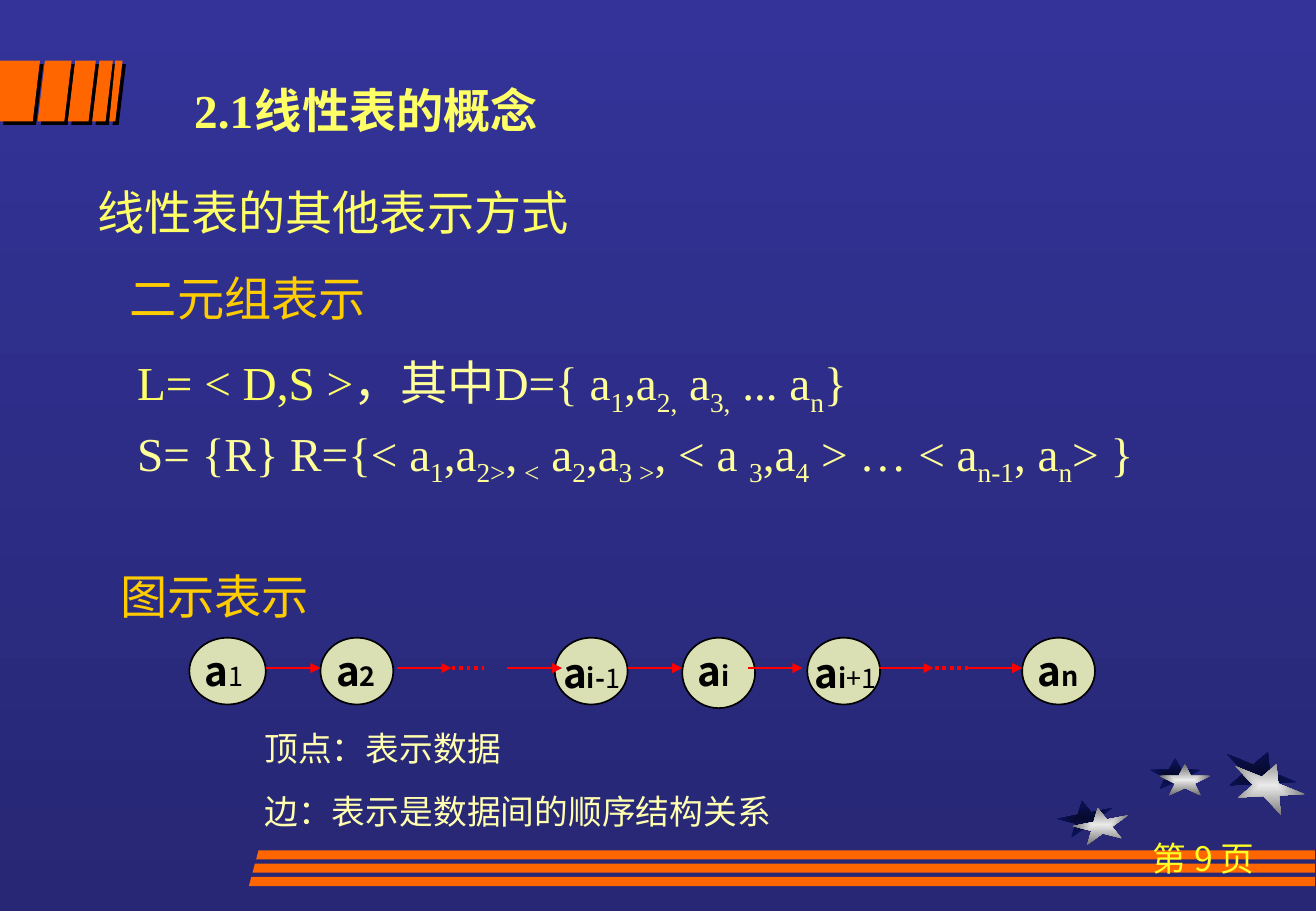
from dataclasses import dataclass

from lxml import etree
from pptx import Presentation
from pptx import util as u
from pptx.dml.color import RGBColor
from pptx.enum import dml, shapes, text
from pptx.oxml import ns

ORANGE = RGBColor(0xFF, 0x66, 0x00)
RED = RGBColor(0xFF, 0x00, 0x00)
BLACK = RGBColor(0x00, 0x00, 0x00)
SAGE = RGBColor(0xDB, 0xE0, 0xB4)
LEMON = RGBColor(0xFF, 0xFF, 0x66)
PALE = RGBColor(0xFF, 0xFF, 0x99)
CREAM = RGBColor(0xFF, 0xFF, 0xAF)
GOLD = RGBColor(0xFF, 0xCC, 0x00)
BRIGHT = RGBColor(0xFF, 0xFF, 0x25)
BACKDROP = RGBColor(0x33, 0x33, 0x99), RGBColor(0x27, 0x27, 0x75)
STAR_SHADE = RGBColor(0x06, 0x0A, 0x2F), RGBColor(0x0D, 0x15, 0x65)
STAR_SILVER = RGBColor(0xEA, 0xEA, 0xEA), RGBColor(0x6C, 0x6C, 0x6C)
SERIF, SANS = "Times New Roman", "Noto Sans CJK SC"
STAR = [(0, .38), (.38, .38), (.5, 0), (.62, .38), (1, .38),
        (.69, .62), (.81, 1), (.5, .76), (.19, 1), (.31, .62)]


@dataclass
class Run:
    words: str
    color: RGBColor
    size: float = 28
    bold: bool = False
    subscript: bool = False


@dataclass
class Line:
    runs: list
    spacing: float
    before: float = 0
    indent: float = 0
    tab: float = 0
    align: text.PP_ALIGN = text.PP_ALIGN.LEFT


def add_xml(parent, tag, **attributes):
    return etree.SubElement(parent, ns.qn(tag), attributes)


class Board:
    """Draws on one slide with a grid of 108.4 columns by 75 rows."""

    def __init__(self, presentation):
        presentation.slide_width, presentation.slide_height = self.cells(108.4, 75)
        self.slide = presentation.slides.add_slide(presentation.slide_layouts[1])
        self.shapes = self.slide.shapes
        self.gradient(self.slide.background.fill, BACKDROP)

    def cells(self, *counts):
        return [u.Inches(count / 10) for count in counts]

    def gradient(self, fill, colors):
        fill.gradient()
        fill.gradient_angle = 270
        for stop, color in zip(fill.gradient_stops, colors):
            stop.color.rgb = color

    def outline(self, points):
        vertices = [self.cells(*point) for point in points]
        builder = self.shapes.build_freeform(*vertices[0], scale=1.0)
        builder.add_line_segments(vertices[1:], close=True)
        shape = builder.convert_to_shape()
        shape.shadow.inherit = False
        shape.line.fill.background()
        return shape

    def band(self, points, shadow=False):
        shape = self.outline(points)
        shape.fill.solid()
        shape.fill.fore_color.rgb = ORANGE
        if shadow:
            effects = shape._element.spPr.find(ns.qn("a:effectLst"))
            outer = add_xml(effects, "a:outerShdw", dist="35560", dir="2700000",
                            algn="ctr", rotWithShape="0")
            add_xml(outer, "a:srgbClr", val=str(BLACK))

    def star(self, left, top, width, height, rotation, colors):
        shape = self.outline([(left + x * width, top + y * height) for x, y in STAR])
        shape.rotation = rotation
        self.gradient(shape.fill, colors)
        gradient = shape._element.spPr.find(ns.qn("a:gradFill"))
        linear = gradient.find(ns.qn("a:lin"))
        center = etree.Element(ns.qn("a:path"), {"path": "rect"})
        add_xml(center, "a:fillToRect", l="50000", t="50000", r="50000", b="50000")
        gradient.replace(linear, center)

    def circle(self, *box):
        shape = self.shapes.add_shape(shapes.MSO_SHAPE.OVAL, *self.cells(*box))
        shape.shadow.inherit = False
        shape.fill.solid()
        shape.fill.fore_color.rgb = SAGE
        shape.line.color.rgb = BLACK
        shape.line.width = u.Pt(1)

    def link(self, start, end, row, dotted=False):
        x1, x2, y = self.cells(start, end, row)
        connector = self.shapes.add_connector(shapes.MSO_CONNECTOR.STRAIGHT, x1, y, x2, y)
        connector.line.color.rgb = RED
        connector.line.width = u.Pt(2.25 if dotted else 1)
        properties = connector._element.spPr
        if dotted:
            connector.line.dash_style = dml.MSO_LINE.ROUND_DOT
        else:
            add_xml(properties.find(ns.qn("a:ln")), "a:tailEnd", type="triangle")
        add_xml(properties, "a:effectLst")

    def put_text(self, box, lines, font=SANS, shape=None):
        shape = shape or self.shapes.add_textbox(*self.cells(*box))
        shape.left, shape.top, shape.width, shape.height = self.cells(*box)
        frame = shape.text_frame
        frame.word_wrap = True
        frame.auto_size = text.MSO_AUTO_SIZE.NONE
        frame.vertical_anchor = text.MSO_ANCHOR.TOP
        for index, line in enumerate(lines):
            paragraph = frame.add_paragraph() if index else frame.paragraphs[0]
            self.fill_paragraph(paragraph, line, font)

    def fill_paragraph(self, paragraph, line, font):
        properties = paragraph._p.get_or_add_pPr()
        properties.set("marL", str(self.cells(line.indent)[0]))
        properties.set("indent", "0")
        add_xml(properties, "a:buNone")
        if line.tab:
            tabs = add_xml(properties, "a:tabLst")
            add_xml(tabs, "a:tab", pos=str(self.cells(line.tab)[0]), algn="l")
        paragraph.alignment = line.align
        paragraph.line_spacing = u.Pt(line.spacing)
        paragraph.space_before = u.Pt(line.before)
        paragraph.space_after = u.Pt(0)
        for item in line.runs:
            if item.words == "\n":
                paragraph.add_line_break()
                continue
            run = paragraph.add_run()
            run.text = item.words
            run.font.name = font
            run.font.size = u.Pt(item.size)
            run.font.bold = item.bold
            run.font.color.rgb = item.color
            run_properties = run._r.get_or_add_rPr()
            add_xml(run_properties, "a:ea", typeface=SANS)
            if item.subscript:
                run_properties.set("baseline", "-25000")


def formula(*parts):
    return [Run(part, PALE, subscript=index % 2 == 1) for index, part in enumerate(parts)]


def draw_template(board):
    stars = [(87.1, 65.9, 4.6, 2.8, 349, 1.3, .6), (94.7, 62.4, 4.2, 2.6, 0, .8, .5),
             (100.7, 61.8, 6.1, 3.7, 22, .7, 1)]
    for left, top, width, height, rotation, dx, dy in stars:
        board.star(left, top, width, height, rotation, STAR_SHADE)
        board.star(left + dx, top + dy, width, height, rotation, STAR_SILVER)
    for low, high, right in [(0, 0, 3.3), (3.1, 3.7, 5.9), (5.6, 6.2, 7.9),
                             (7.6, 8.2, 9.3), (9, 9.5, 10.1)]:
        board.band([(high, 5), (right, 5), (right - .6, 10), (low, 10)], shadow=True)
    for index in range(3):
        left, top = 21.1 - .3 * index, 70 + 1.1 * index
        board.band([(left + .2, top), (108.3, top), (108.3, top + .75), (left, top + .75)])
    page = Line([Run("第 9 页", BRIGHT, 20)], 24.4, align=text.PP_ALIGN.CENTER)
    board.put_text((90, 68.4, 18.3, 6.4), [page])


def draw_chain(board):
    nodes = [(15.6, 6.3, 5.5, .3, "", "1"), (26.4, 6, 5.5, .3, "2", ""),
             (45.7, 6, 5.5, -.3, "i-", "1"), (56.2, 6, 5.8, .3, "i", ""),
             (66.5, 6, 5.5, -.4, "i", "+1"), (84.2, 6, 5.5, .3, "n", "")]
    for left, width, height, shift, heavy, light in nodes:
        board.circle(left, 52.5, width, height)
        runs = [Run("a", BLACK, 24, True), Run(heavy, BLACK, 16, True), Run(light, BLACK, 16)]
        top = 52.7 if shift > 0 else 52.8
        label = Line([run for run in runs if run.words], 29)
        board.put_text((left + shift, top, 9.6, 5), [label])
    for start in (21.9, 32.7, 41.8, 51.7, 61.6, 72.4, 79.7):
        board.link(start, start + 4.5, 55)
    for start in (37.2, 77):
        board.link(start, start + 2.7, 55, dotted=True)


def main():
    presentation = Presentation()
    board = Board(presentation)
    title, body = board.slide.placeholders
    heading = Line([Run("2.1\t线性表的概念", LEMON, bold=True)], 34, tab=10.6)
    board.put_text((15, 6.1, 40.8, 5), [heading], SERIF, title)
    pairs = [Run("L= < D,S >", LEMON)]
    pairs += formula("，其中D={ a", "1", ",a", "2,", " a", "3,", " ... a", "n", "}")
    pairs += formula("\n")
    pairs += formula("S= {R} R={< a", "1", ",a", "2>", ",", " <", " a", "2", ",a", "3 >",
                     ", < a ", "3", ",a", "4", " > … < a", "n-1", ", a", "n", "> }")
    board.put_text((4.5, 14.5, 96.3, 40), [
        Line([Run("线性表的其他表示方式", LEMON)], 34, indent=2.5),
        Line([Run("二元组表示", GOLD)], 34, 17.5, 5.2),
        Line(pairs, 42, 12, 5.8),
        Line([Run("图示表示", GOLD)], 34, 46.5, 4.4)], SERIF, body)
    draw_template(board)
    draw_chain(board)
    board.put_text((20.8, 59.4, 50.8, 9.4), [
        Line([Run("顶点：表示数据", CREAM, 20)], 24.4),
        Line([Run("边：表示是数据间的顺序结构关系", CREAM, 20)], 24.4, 12.5)])
    presentation.save("out.pptx")


if __name__ == "__main__":
    main()
